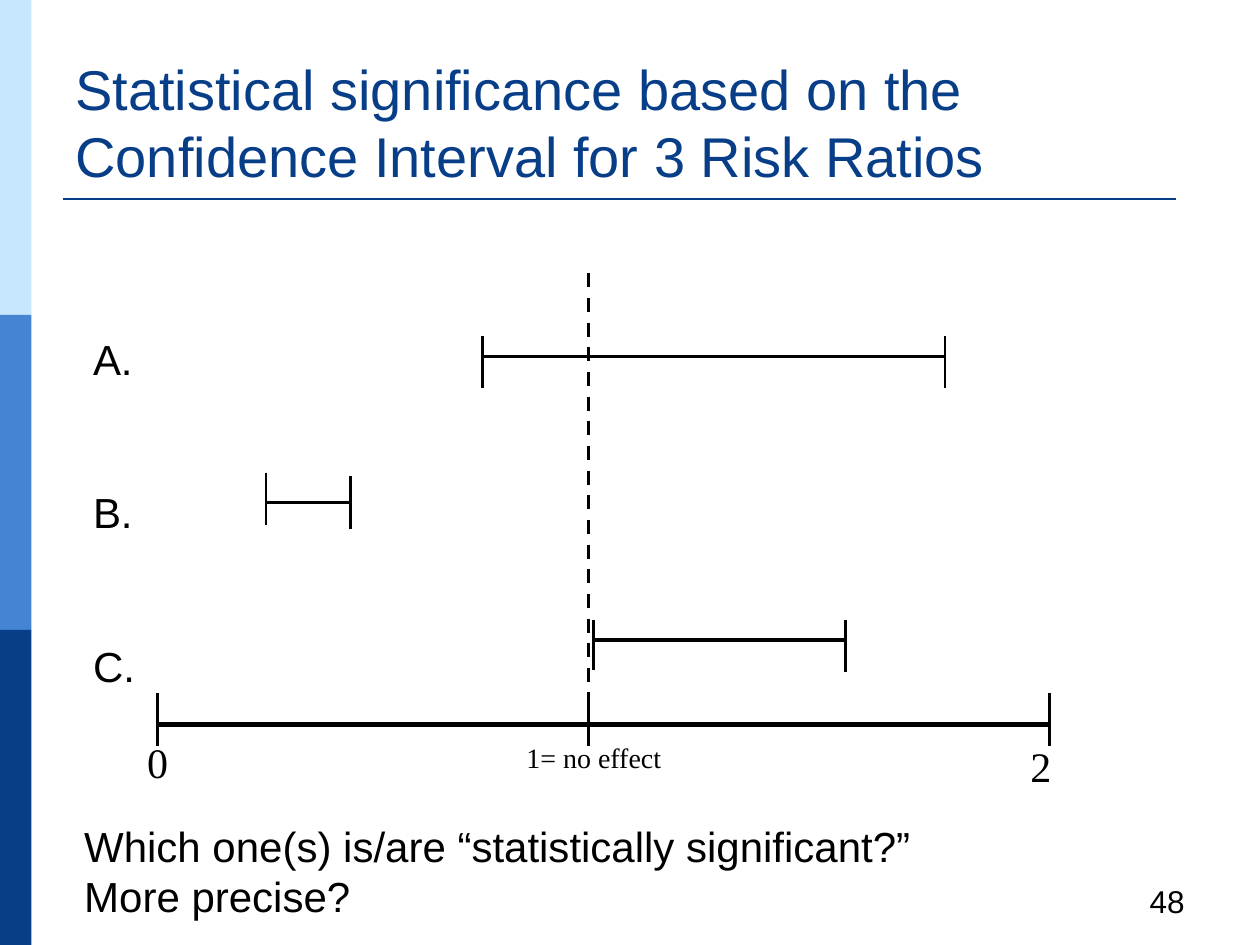
from lxml import etree
from pptx import Presentation
from pptx.dml.color import RGBColor
from pptx.enum import dml, shapes, text
from pptx.oxml import ns
from pptx.util import Inches, Pt

HUES = {"pale": "C6E7FC", "mid": "4584D3", "navy": "073E87", "black": "000000"}
SANS, SERIF = "Arial", "Times New Roman"

TITLE = "Statistical significance based on the Confidence Interval for 3 Risk Ratios"
ASK = ["Which one(s) is/are “statistically significant?”", "More precise?"]
NAMES = ["A.", "B.", "C."]

# Each interval: height of its bar, then (x, top, bottom) of both end ticks
SPANS = [
    (2.83, (3.83, 2.67, 3.08), (7.5, 2.67, 3.08)),
    (3.99, (2.11, 3.75, 4.17), (2.78, 3.78, 4.2)),
    (5.08, (4.71, 4.92, 5.32), (6.71, 4.92, 5.33)),
]
AXIS = (5.75, (1.25, 5.5, 5.92), (8.33, 5.5, 5.92))
UNITY = 4.67
# Axis labels: text, box, size
MARKS = [
    ("0", (1.07, 5.8, 0.37, 0.5), 24),
    ("1= no effect", (4.08, 5.83, 1.28, 0.37), 16),
    ("2", (8.08, 5.83, 0.37, 0.5), 24),
]

deck = Presentation()
deck.slide_width, deck.slide_height = Inches(10), Inches(7.5)
slide = deck.slides.add_slide(deck.slide_layouts[6])


def paint(hue):
    return RGBColor.from_string(HUES[hue])


def rule(x1, y1, x2, y2, width, hue="black", dash=None):
    line = slide.shapes.add_connector(
        shapes.MSO_CONNECTOR.STRAIGHT, *map(Inches, (x1, y1, x2, y2)))
    line.line.width = Pt(width)
    line.line.color.rgb = paint(hue)
    if dash:
        line.line.dash_style = dash
    etree.SubElement(line._element.spPr, ns.qn("a:effectLst"))


def bracket(y, left, right, width):
    """Horizontal bar with a tick at each end."""
    rule(left[0], y, right[0], y, width)
    for x, top, foot in (left, right):
        rule(x, top, x, foot, 1.5)


def write(lines, box, size, font=SANS, hue="black", wrap=True, gap=0):
    frame = slide.shapes.add_textbox(*map(Inches, box)).text_frame
    frame.word_wrap = wrap
    frame.text = "\n".join(lines)
    for i, para in enumerate(frame.paragraphs):
        if i and gap:
            para.space_before = Pt(gap)
        for run in para.runs:
            run.font.size, run.font.name = Pt(size), font
            run.font.color.rgb = paint(hue)
    return frame


for i, hue in enumerate(("pale", "mid", "navy")):
    band = slide.shapes.add_shape(
        shapes.MSO_SHAPE.RECTANGLE, *map(Inches, (0, 2.5 * i, 0.25, 2.5)))
    band.shadow.inherit = False
    band.fill.solid()
    band.fill.fore_color.rgb = paint(hue)
    band.line.fill.background()

head = write([TITLE], (0.5, 0.3, 9, 1.25), 32, hue="navy")
head.vertical_anchor = text.MSO_ANCHOR.BOTTOM
rule(0.5, 1.58, 9.33, 1.58, 1.5, "navy")

bracket(*AXIS, 3)
rule(UNITY, 2.17, UNITY, AXIS[0], 2, dash=dml.MSO_LINE.DASH)
rule(UNITY, 5.58, UNITY, 5.92, 1.5)
for span in SPANS:
    bracket(*span, 2)

for mark, box, size in MARKS:
    write([mark], box, size, SERIF, wrap=False)
write(NAMES, (0.64, 2.6, 0.54, 3.94), 24, wrap=False, gap=58.7)
write(ASK, (0.57, 6.46, 9.27, 0.91), 24)
page = write(["48"], (7.17, 6.95, 2.33, 0.4), 18)
page.paragraphs[0].alignment = text.PP_ALIGN.RIGHT

deck.save("out.pptx")
